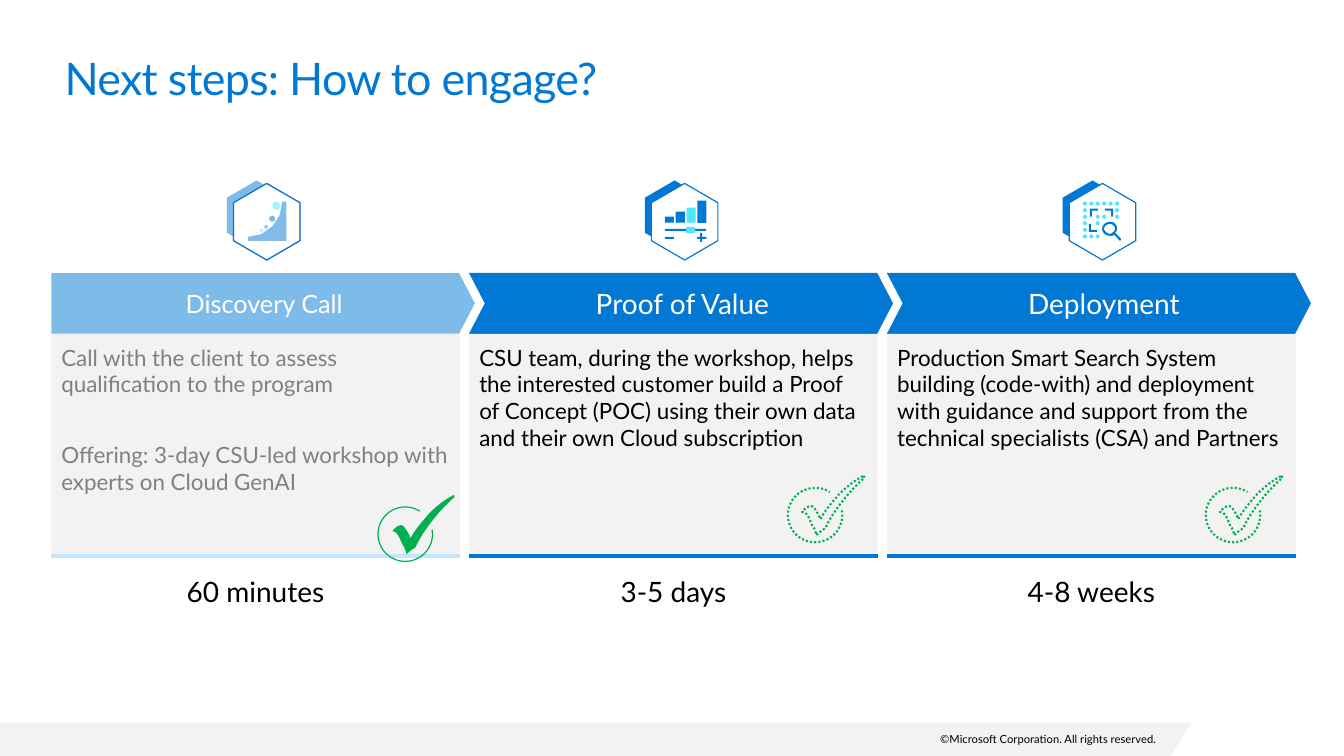
import pptx
import pptx.dml.color
import pptx.enum.dml
import pptx.enum.shapes
import pptx.enum.text
import pptx.oxml.ns
import pptx.util

Inches, Pt = pptx.util.Inches, pptx.util.Pt
RGB = pptx.dml.color.RGBColor
SHAPE = pptx.enum.shapes.MSO_SHAPE
ALIGN = pptx.enum.text.PP_ALIGN
ANCHOR = pptx.enum.text.MSO_ANCHOR
qn = pptx.oxml.ns.qn

BLUE, CYAN, PALE_BLUE = RGB(0x00, 0x78, 0xD4), RGB(0x50, 0xE6, 0xFF), RGB(0xC3, 0xE5, 0xFF)
GREEN, WHITE, BLACK = RGB(0x00, 0xB0, 0x50), RGB(255, 255, 255), RGB(0, 0, 0)
LIGHT, GRAY, MAUVE = RGB(0xF2, 0xF2, 0xF2), RGB(0x80, 0x80, 0x80), RGB(0xB2, 0x96, 0xC8)

STEP_LEFT, STEP_PITCH, STEP_W, ARROW_W = 0.51, 4.145, 4.05, 4.2
ARROW_TOP, BODY_TOP, BODY_BOTTOM = 2.71, 3.31, 5.52
ICON_DX, ICON_TOP = 1.69, 1.84
UNITS = 1000  # freeform units per inch

# Outlines: a pair is a straight segment, six numbers are a cubic curve.
TICK = [[(.61, 0), (.62, .02), (.56, .07, .49, .14, .41, .24), (.33, .34, .27, .43, .23, .52),
         (.2, .54), (.17, .56, .15, .58, .14, .59), (.14, .57, .13, .55, .12, .52), (.1, .49),
         (.08, .45, .07, .41, .05, .39), (.04, .37, .02, .36, 0, .36),
         (.03, .32, .06, .3, .09, .3), (.11, .3, .14, .34, .17, .4), (.18, .43),
         (.23, .34, .3, .26, .37, .18), (.45, .1, .53, .04, .61, 0)]]
SLOPE = [[(.6, .16), (.6, .35, .45, .51, .26, .51), (.26, .55), (.64, .55), (.64, .16)]]
MAGNIFIER = [[(.63, .53), (.57, .47), (.58, .46, .59, .44, .59, .43), (.59, .39, .56, .36, .52, .36),
              (.48, .36, .44, .39, .44, .43), (.44, .47, .48, .5, .52, .5),
              (.53, .5, .55, .5, .56, .49), (.62, .55)],
             [(.52, .48), (.49, .48, .46, .45, .46, .43), (.46, .4, .49, .38, .52, .38),
              (.54, .38, .57, .4, .57, .43), (.57, .45, .54, .48, .52, .48)]]


def flatten(outline, steps=4):
    """Turn an outline into points, sampling its curves."""
    points = [outline[0]]
    for seg in outline[1:]:
        if len(seg) == 2:
            points.append(seg)
            continue
        ctrl = [points[-1], seg[:2], seg[2:4], seg[4:]]
        for i in range(1, steps + 1):
            t = i / steps
            weights = (1 - t) ** 3, 3 * t * (1 - t) ** 2, 3 * t * t * (1 - t), t ** 3
            points.append(tuple(sum(w * c[k] for w, c in zip(weights, ctrl)) for k in (0, 1)))
    return points


class Deck:
    def __init__(self):
        self.prs = pptx.Presentation()
        self.prs.slide_width, self.prs.slide_height = Inches(13.33), Inches(7.5)
        self.s = self.prs.slides.add_slide(self.prs.slide_layouts[5])
        self.font = "Lato"

    def group(self):
        return self.s.shapes.add_group_shape().shapes

    def paint(self, sp, fill=None, line=None, width=0.85, alpha=None, dash=None):
        sp.shadow.inherit = False
        if fill is None:
            sp.fill.background()
        else:
            sp.fill.solid()
            sp.fill.fore_color.rgb = fill
        if alpha:
            color = sp._element.spPr.find(qn("a:solidFill"))[0]
            color.append(color.makeelement(qn("a:alpha"), {"val": str(alpha * 1000)}))
        if line is None:
            sp.line.fill.background()
        else:
            sp.line.color.rgb, sp.line.width = line, Pt(width)
            if dash:
                sp.line.dash_style = dash
        return sp

    def shape(self, kind, x, y, w, h, into=None, adj=(), rot=0, **look):
        shapes = self.s.shapes if into is None else into
        sp = shapes.add_shape(kind, Inches(x), Inches(y), Inches(w), Inches(h))
        for i, value in enumerate(adj):
            sp.adjustments[i] = value
        sp.rotation = rot
        return self.paint(sp, **look)

    def outline(self, outlines, x, y, into=None, **look):
        shapes = self.s.shapes if into is None else into
        contours = [[(round((x + px) * UNITS), round((y + py) * UNITS)) for px, py in flatten(o)]
                    for o in outlines]
        fb = shapes.build_freeform(*contours[0][0], scale=Inches(1) / UNITS)
        fb.add_line_segments(contours[0][1:], close=True)
        for points in contours[1:]:
            fb.move_to(*points[0])
            fb.add_line_segments(points[1:], close=True)
        return self.paint(fb.convert_to_shape(), **look)

    def rule(self, x1, x2, y, color):
        c = self.s.shapes.add_connector(pptx.enum.shapes.MSO_CONNECTOR.STRAIGHT,
                                        Inches(x1), Inches(y), Inches(x2), Inches(y))
        c.line.color.rgb, c.line.width = color, Pt(3)
        spPr = c._element.spPr
        spPr.append(spPr.makeelement(qn("a:effectLst"), {}))

    def text(self, sp, paragraphs, size, color, align=ALIGN.LEFT, anchor=ANCHOR.TOP,
             insets=(0, 0, 0, 0), wrap=True, gap=0):
        tf = sp.text_frame
        tf.word_wrap, tf.vertical_anchor = wrap, anchor
        tf.margin_left, tf.margin_top, tf.margin_right, tf.margin_bottom = map(Inches, insets)
        for i, words in enumerate(paragraphs):
            p = tf.add_paragraph() if i else tf.paragraphs[0]
            p.text, p.alignment = words, align
            if i:
                p.space_before = Pt(gap)
            p.font.name, p.font.size, p.font.color.rgb = self.font, Pt(size), color
        return tf

    def label(self, words, x, y, w, h, size, **layout):
        tb = self.s.shapes.add_textbox(Inches(x), Inches(y), Inches(w), Inches(h))
        return self.text(tb, [words], size, BLACK, **layout)

    def title(self, words):
        sp = self.s.shapes.title
        sp.left, sp.top, sp.width, sp.height = map(Inches, (0.64, 0.5, 12.05, 0.54))
        tf = self.text(sp, [words], 32, BLUE, anchor=ANCHOR.MIDDLE)
        tf.auto_size = pptx.enum.text.MSO_AUTO_SIZE.NONE
        tf.paragraphs[0].font._rPr.set("spc", "-50")

    def hexagons(self, x, y, alpha=None, edge=BLUE):
        g = self.group()
        look = dict(into=g, adj=(0.29,), rot=90)
        self.shape(SHAPE.HEXAGON, x, y, 0.69, 0.59, fill=BLUE, alpha=alpha, **look)
        self.shape(SHAPE.HEXAGON, x + .065, y + .03, 0.76, 0.66, fill=WHITE, line=edge, **look)
        return g

    def call_icon(self, x, y):
        g = self.hexagons(x, y, 50, MAUVE)
        for dx, dy, d, color in ((.5, .16, .08, CYAN), (.47, .3, .06, BLUE),
                                 (.38, .43, .03, RGB(0x8F, 0xC5, 0xE8)),
                                 (.42, .39, .04, RGB(0x47, 0x9F, 0xDC)),
                                 (.33, .46, .02, RGB(0xBD, 0xDC, 0xF2)),
                                 (.29, .47, .02, RGB(0xD4, 0xE8, 0xF5))):
            self.shape(SHAPE.OVAL, x + dx, y + dy, d, d, g, fill=color)
        self.outline(SLOPE, x, y, g, fill=BLUE)
        self.shape(SHAPE.HEXAGON, x + .065, y + .03, 0.76, 0.66, g, (0.29,), 90,
                   fill=WHITE, alpha=50, line=BLUE)

    def value_icon(self, x, y):
        g = self.hexagons(x, y)
        parts = [(.25, .43, .41, .02, BLUE), (.46, .41, .09, .06, CYAN), (.57, .51, .09, .02, BLUE),
                 (.6, .47, .02, .09, BLUE), (.25, .51, .09, .02, BLUE)]
        parts += [(.25 + .107 * i, .37 - h, .09, h, CYAN if i == 2 else BLUE)
                  for i, h in enumerate((.06, .11, .15, .22))]
        for dx, dy, w, h, color in parts:
            self.shape(SHAPE.RECTANGLE, x + dx, y + dy, w, h, g, fill=color)

    def deployment_icon(self, x, y):
        g = self.hexagons(x, y)
        for row, dots in enumerate(("XXXXXX", "X....X", "X.XX.X", "X.X...", "X.....", "XXX...")):
            for col, dot in enumerate(dots):
                if dot == "X":
                    self.shape(SHAPE.OVAL, x + .25 + .064 * col, y + .16 + .065 * row,
                               .04, .04, g, fill=CYAN)
        self.outline(MAGNIFIER, x, y, g, fill=BLUE)
        for cx, cy, sx, sy in ((.32, .23, 1, 1), (.31, .46, 1, -1), (.55, .23, -1, 1)):
            bracket = [(cx + sx * a, cy + sy * b) for a, b in
                       ((0, 0), (.08, 0), (.08, .02), (.02, .02), (.02, .08), (0, .08))]
            self.outline([bracket], x, y, g, fill=BLUE)

    def check(self, x, y, done):
        g = self.group()
        dotted = dict(line=GREEN, width=1.5, dash=pptx.enum.dml.MSO_LINE.ROUND_DOT)
        self.shape(SHAPE.ARC, x, y, 0.54, 0.54, g, (210.04, 181.37),
                   **(dict(line=GREEN) if done else dotted))
        self.outline(TICK, x + .14, y - .12, g, **(dict(fill=GREEN) if done else dotted))

    def step(self, index, name, body, duration, icon, done=False):
        x = STEP_LEFT + index * STEP_PITCH
        sp = self.shape(SHAPE.RECTANGLE, x, BODY_TOP, STEP_W, BODY_BOTTOM - BODY_TOP, fill=LIGHT)
        self.text(sp, body, 16, GRAY if done else BLACK, insets=(.1, .1, .1, .05), gap=31)
        self.rule(x, x + STEP_W, BODY_BOTTOM, PALE_BLUE if done else BLUE)
        look = dict(alpha=50) if done else dict(line=BLUE, width=0.25)
        sp = self.shape(SHAPE.CHEVRON if index else SHAPE.PENTAGON, x, ARROW_TOP, ARROW_W,
                        BODY_TOP - ARROW_TOP, adj=(0.26,), fill=BLUE, **look)
        self.text(sp, [name], 18 if done else 20, WHITE, ALIGN.CENTER, ANCHOR.MIDDLE,
                  (.1, .05, 0, .05))
        icon(x + ICON_DX, ICON_TOP)
        self.check(x + (3.24 if done else 3.16), 5.03 if done else 4.84, done)
        self.label(duration, x + STEP_W / 2 - .8, 5.65, 1.6, 0.44, 20, align=ALIGN.CENTER,
                   insets=(.1, .05, .1, .05), wrap=False)

    def footer(self, words):
        self.outline([[(0, 7.17), (11.82, 7.17), (11.61, 7.5), (0, 7.5)]], 0, 0, fill=LIGHT)
        tf = self.label(words, 9.27, 7.28, 2.2, 0.12, 8, align=ALIGN.RIGHT)
        tf.paragraphs[0].line_spacing = 0.9


def main():
    deck = Deck()
    deck.footer("©Microsoft Corporation. All rights reserved.")
    deck.title("Next steps: How to engage?")
    deck.step(0, "Discovery Call",
              ["Call with the client to assess qualification to the program",
               "Offering: 3-day CSU-led workshop with experts on Cloud GenAI"],
              "60 minutes", deck.call_icon, done=True)
    deck.step(1, "Proof of Value ",
              ["CSU team, during the workshop, helps the interested customer build a Proof of "
               "Concept (POC) using their own data and their own Cloud subscription"],
              "3-5 days", deck.value_icon)
    deck.step(2, "Deployment",
              ["Production Smart Search System building (code-with) and deployment with guidance "
               "and support from the technical specialists (CSA) and Partners"],
              "4-8 weeks", deck.deployment_icon)
    deck.prs.save("out.pptx")


if __name__ == "__main__":
    main()
